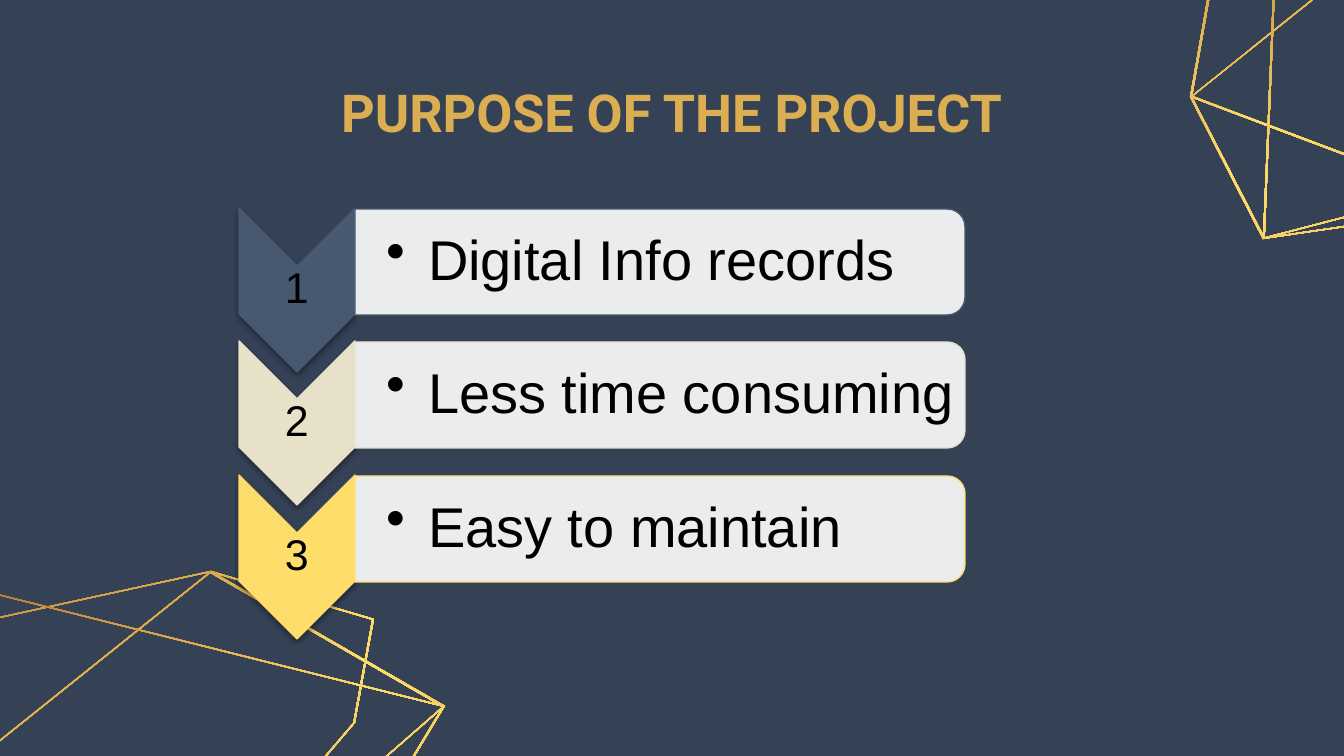
from lxml import etree
from pptx import Presentation
from pptx.dml.color import RGBColor as RGB
from pptx.enum.shapes import MSO_SHAPE as Kind
from pptx.enum.text import MSO_ANCHOR as Anchor, MSO_AUTO_SIZE as Fit, PP_ALIGN as Align
from pptx.oxml import parse_xml
from pptx.oxml.ns import nsdecls, qn
from pptx.util import Pt

NAVY = RGB(0x35, 0x42, 0x55)
SLATE = RGB(0x47, 0x59, 0x71)
CREAM = RGB(0xE7, 0xE1, 0xC9)
YELLOW = RGB(0xFF, 0xDD, 0x6B)
GOLD = RGB(0xDC, 0xAE, 0x52)
BRONZE = RGB(0xAF, 0x71, 0x32)
WHITE = RGB(0xFF, 0xFF, 0xFF)
BLACK = RGB(0, 0, 0)

TITLE = "PURPOSE OF THE PROJECT"
ITEMS = [
    ("Digital Info records", SLATE),
    ("Less time consuming", CREAM),
    ("Easy to maintain", YELLOW),
]
RINGS = [
    [(-144, 855), (-106, 640), (211, 571), (374, 619), (355, 723), (148, 965)],
    [(-71, 997), (-144, 855), (211, 571), (445, 706), (148, 965)],
    [(-71, 997), (-54, 581), (445, 706), (333, 892)],
]
SHIFTS = [(0, 0), (1334, -758)]
SCALE = 914400 / 134.4
SHRINK = 0.992
LEFT, TOP = 239, 208
ARROW_W, ARROW_H = 116, 164
BAR_W, BAR_H = 610, 106


def px(*nums):
    return [round(n * SCALE) for n in nums]


def draw_ring(slide, pts, dx, dy):
    outer = [(x + dx, y + dy) for x, y in pts]
    mid_x = sum(x for x, y in outer) / len(outer)
    mid_y = sum(y for x, y in outer) / len(outer)
    inner = [(mid_x + (x - mid_x) * SHRINK, mid_y + (y - mid_y) * SHRINK)
             for x, y in reversed(outer)]
    outer, inner = [[px(*p) for p in loop] for loop in (outer, inner)]
    pen = slide.shapes.build_freeform(*outer[0])
    pen.add_line_segments(outer[1:], close=True)
    pen.move_to(*inner[0])
    pen.add_line_segments(inner[1:], close=True)
    ring = pen.convert_to_shape()
    ring.shadow.inherit = False
    ring.line.fill.background()
    stops = "".join(f'<a:gs pos="{pos}"><a:srgbClr val="{hue}"/></a:gs>'
                    for pos, hue in ((0, BRONZE), (50000, YELLOW), (100000, GOLD)))
    ring.element.spPr.find(qn("a:custGeom")).addnext(parse_xml(
        f'<a:gradFill {nsdecls("a")}><a:gsLst>{stops}</a:gsLst>'
        '<a:lin ang="3600000" scaled="0"/></a:gradFill>'))


def add_turned(slide, kind, x, y, w, h, fill, edge):
    left, top = x + (w - h) / 2, y + (h - w) / 2
    shape = slide.shapes.add_shape(kind, *px(left, top, h, w))
    shape.rotation = 90
    shape.shadow.inherit = False
    shape.fill.solid()
    shape.fill.fore_color.rgb = fill
    shape.line.color.rgb = edge
    shape.line.width = Pt(0.75)
    return shape


def add_label(slide, text, x, y, w, h, size, inset):
    frame = slide.shapes.add_textbox(*px(x, y, w, h)).text_frame
    frame.word_wrap = True
    frame.vertical_anchor = Anchor.MIDDLE
    frame.margin_top = frame.margin_bottom = frame.margin_right = px(3)[0]
    frame.margin_left = px(inset)[0]
    para = frame.paragraphs[0]
    para.text = text
    para.line_spacing = 0.9
    para.font.size = Pt(size)
    para.font.name = "Arial"
    para.font.color.rgb = BLACK
    return para


def add_shade(shape):
    effects = shape.element.spPr.find(qn("a:effectLst"))
    effects.append(parse_xml(
        f'<a:outerShdw {nsdecls("a")} blurRad="{Pt(3.1)}" dist="{Pt(1.6)}" '
        'dir="5400000" rotWithShape="0"><a:srgbClr val="000000">'
        '<a:alpha val="38000"/></a:srgbClr></a:outerShdw>'))


def add_step(slide, index, text, hue):
    top = TOP + index * 267 // 2
    right = LEFT + ARROW_W
    arrow = add_turned(slide, Kind.CHEVRON, LEFT, top, ARROW_W, ARROW_H, hue, hue)
    add_shade(arrow)
    number = add_label(slide, str(index + 1), LEFT, top + 57, ARROW_W, 50, 23, 3)
    number.alignment = Align.CENTER
    bar = add_turned(slide, Kind.ROUND_2_SAME_RECTANGLE, right, top + 1,
                     BAR_W, BAR_H, WHITE, hue)
    bar.adjustments[0] = 0.167
    tint = bar.element.spPr.find(qn("a:solidFill"))[0]
    etree.SubElement(tint, qn("a:alpha"), val="90000")
    para = add_label(slide, text, right, top + 6, BAR_W - 4, 96, 30, 31)
    props = para._p.get_or_add_pPr()
    indent = px(42)[0]
    props.set("marL", str(indent))
    props.set("indent", str(-indent))
    props.find(qn("a:lnSpc")).addnext(
        parse_xml(f'<a:buChar {nsdecls("a")} char="•"/>'))


def set_title(slide):
    title = slide.shapes.title
    title.left, title.top, title.width, title.height = px(293, 80, 757, 63)
    frame = title.text_frame
    frame.auto_size = Fit.NONE
    frame.word_wrap = True
    frame.vertical_anchor = Anchor.MIDDLE
    para = frame.paragraphs[0]
    para.text = TITLE
    para.alignment = Align.CENTER
    para.font.size = Pt(28)
    para.font.name = "Roboto"
    para.font.bold = True
    para.font.color.rgb = GOLD


def main():
    deck = Presentation()
    deck.slide_width, deck.slide_height = px(1344, 756)
    slide = deck.slides.add_slide(deck.slide_layouts[5])
    slide.background.fill.solid()
    slide.background.fill.fore_color.rgb = NAVY
    for dx, dy in SHIFTS:
        for pts in RINGS:
            draw_ring(slide, pts, dx, dy)
    set_title(slide)
    for index, (text, hue) in enumerate(ITEMS):
        add_step(slide, index, text, hue)
    deck.save("out.pptx")


if __name__ == "__main__":
    main()
